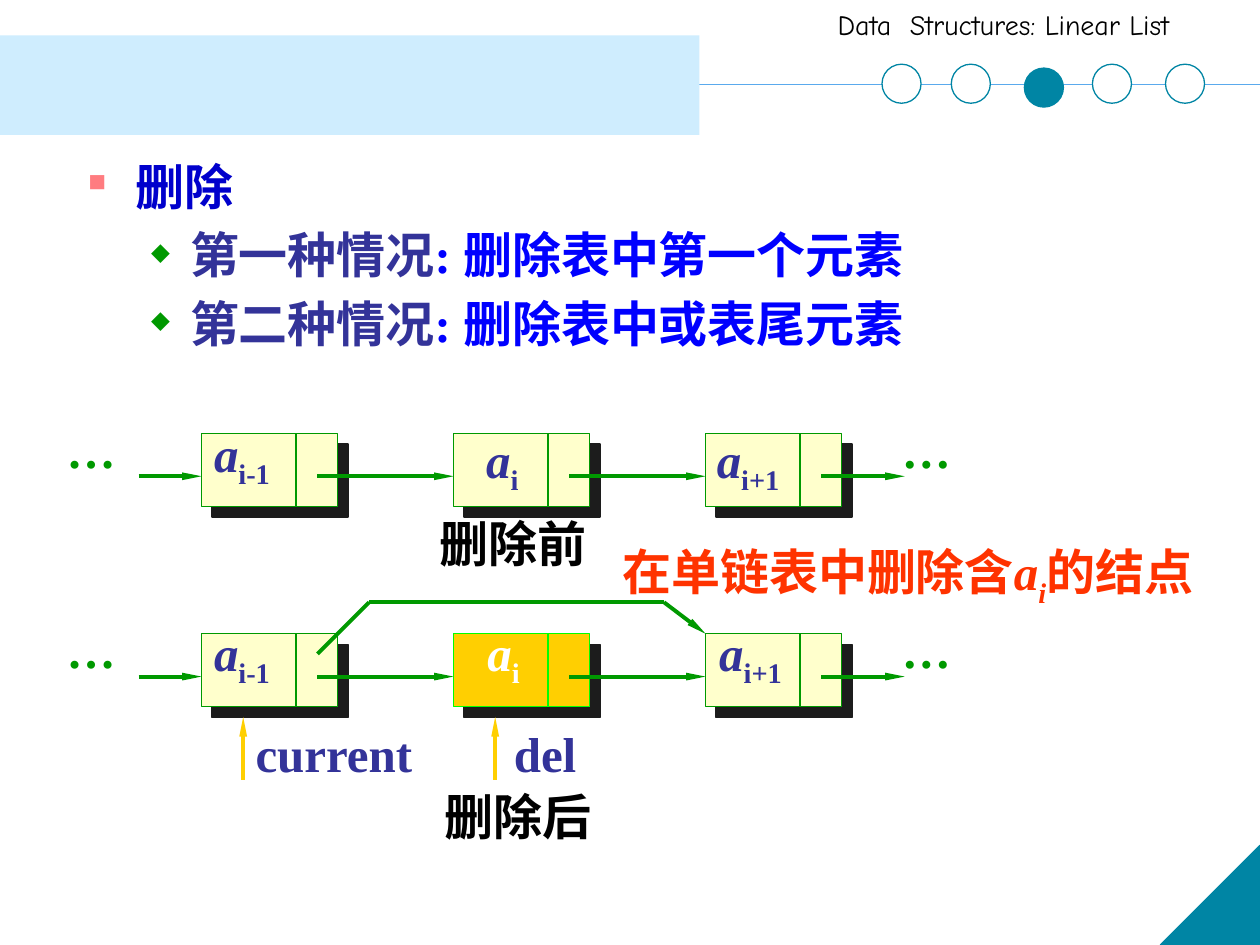
"""Build a slide on deleting a node from a singly linked list."""
from lxml.etree import SubElement
from pptx import Presentation
from pptx.dml.color import RGBColor as RGB
from pptx.enum.shapes import MSO_CONNECTOR as CONN, MSO_SHAPE as SHAPE
from pptx.oxml import parse_xml
from pptx.oxml.ns import nsdecls, qn
from pptx.util import Inches as In, Pt

C = {"teal": "0085A4", "rule": "5AAAED", "banner": "CFEDFE", "white": "FFFFFF",
     "black": "000000", "topic": "0000CC", "navy": "333399", "blue": "0000FF",
     "red": "FF3300", "green": "009900", "lime": "00FF00", "cream": "FFFFCC",
     "gold": "FFCF01", "pink": "FF7C80", "shade": "1C1C1C"}
WIDTH, HEIGHT = 10, 7.5
NODE_X, COL, NODE_W, NODE_H = 1.6, 2, 1.08, 0.58
ROWS = (3.44, 5.03)

deck = Presentation()
deck.slide_width, deck.slide_height = In(WIDTH), In(HEIGHT)
slide = deck.slides.add_slide(deck.slide_layouts[6])
shapes = slide.shapes


def put_text(x, y, w, h, lines, size=28, face="Times New Roman", wrap=False):
    frame = shapes.add_textbox(In(x), In(y), In(w), In(h)).text_frame
    frame.word_wrap = wrap
    for n, line in enumerate(lines):
        paragraph = frame.add_paragraph() if n else frame.paragraphs[0]
        for words, color, style in line:
            run = paragraph.add_run()
            run.text = words
            run.font.size, run.font.name = Pt(size), face
            run.font.bold = size == 28
            run.font.italic = "i" in style
            run.font.color.rgb = RGB.from_string(C[color])
            if "sub" in style:
                run.font._element.set("baseline", "-25000")
    return frame


def link(x1, y1, x2, y2, color="green", weight=2.25, arrow=False):
    line = shapes.add_connector(CONN.STRAIGHT, In(x1), In(y1), In(x2), In(y2))
    line.line.color.rgb, line.line.width = RGB.from_string(C[color]), Pt(weight)
    if arrow:
        SubElement(line.line._get_or_add_ln(), qn("a:tailEnd"), type="triangle", w="sm", len="lg")
    SubElement(line._element.spPr, qn("a:effectLst"))


link(0, 0.67, WIDTH, 0.67, "rule", 1)
put_text(6.55, 0.01, 3.45, 0.37, [[("Data  Structures: Linear List", "black", "")]],
         16, "Comic Neue", True)

decor = [(SHAPE.RIGHT_TRIANGLE, WIDTH - 0.79, HEIGHT - 0.79, 0.79, "teal", "teal"),
         (SHAPE.RECTANGLE, 0, 0.28, 5.55, "banner", None)]
decor += [(SHAPE.OVAL, x, 0.51, 0.31, "white", "teal") for x in (7, 7.55, 8.67, 9.25)]
decor += [(SHAPE.OVAL, 8.13, 0.54, 0.31, "teal", "teal")]
for kind, x, y, w, fill, edge in decor:
    part = shapes.add_shape(kind, In(x), In(y), In(w), In(min(w, 0.79)))
    part.shadow.inherit = False
    part.fill.solid()
    part.fill.fore_color.rgb = RGB.from_string(C[fill])
    if edge:
        part.line.color.rgb, part.line.width = RGB.from_string(C[edge]), Pt(0.75)
    else:
        part.line.fill.background()
    if kind == SHAPE.RIGHT_TRIANGLE:
        part._element.spPr.xfrm.set("flipH", "1")

cases = put_text(0.6, 1.19, 8.92, 2.08, [
    [("删除", "topic", "")],
    [("第一种情况", "navy", ""), (": 删除表中第一个元素", "blue", "")],
    [("第二种情况", "navy", ""), (": 删除表中或表尾元素", "blue", "")]], wrap=True)
for n, case in enumerate(cases.paragraphs):
    margin, hang, mark, color = (0.81, 0.31, "◆", "green") if n else (0.38, 0.38, "■", "pink")
    case.level = min(n, 1)
    props = case._p.get_or_add_pPr()
    props.set("marL", str(In(margin)))
    props.set("indent", str(-In(hang)))
    SubElement(SubElement(props, qn("a:buClr")), qn("a:srgbClr"), val=C[color])
    SubElement(props, qn("a:buSzPct"), val="50000")
    SubElement(props, qn("a:buChar"), char=mark)
    if n:
        case.space_before = Pt(5.6)

goal = put_text(4.82, 4.24, 6.33, 0.6, [[
    ("在单链表中删除含", "red", ""), ("a", "red", "i"), ("i", "red", "i sub"),
    ("的结点", "red", "")]], wrap=True)
goal.margin_left = goal.margin_right = In(0.12)
goal.margin_top = goal.margin_bottom = In(0.06)

for row, top in enumerate(ROWS):
    wire = top + 0.34
    link(1.1, wire, NODE_X, wire, arrow=True)
    for col in range(3):
        left = NODE_X + col * COL
        deleted = row == 1 and col == 1
        edge = "lime" if deleted else "green"
        node = shapes.add_shape(SHAPE.RECTANGLE, In(left), In(top), In(NODE_W), In(NODE_H))
        node.fill.solid()
        node.fill.fore_color.rgb = RGB.from_string(C["gold" if deleted else "cream"])
        node.line.color.rgb, node.line.width = RGB.from_string(C[edge]), Pt(0.75)
        node._element.spPr.append(parse_xml(
            f'<a:effectLst {nsdecls("a")}><a:outerShdw blurRad="0" dist="{Pt(8.5)}" '
            f'dir="2700000" algn="ctr" rotWithShape="0"><a:srgbClr val="{C["shade"]}"/>'
            '</a:outerShdw></a:effectLst>'))
        link(left + 0.75, top, left + 0.75, top + NODE_H, edge, 1.5)
        link(left + 0.92, wire, left + (COL if col < 2 else 1.58), wire, arrow=True)
    for x in (0.43, 7.06):
        put_text(x, top - 0.16, 0.6, 0.57, [[("…", "green", "")]])

for x, y, w, index, color in [
        (1.6, 3.31, 0.69, "i-1", "navy"), (3.76, 3.36, 0.47, "i", "navy"),
        (5.59, 3.36, 0.75, "i+1", "navy"), (1.6, 4.89, 0.69, "i-1", "navy"),
        (3.77, 4.89, 0.47, "i", "white"), (5.61, 4.89, 0.75, "i+1", "navy")]:
    put_text(x, y, w, 0.57, [[("a", color, "i"), (index, color, "sub")]])

for x in (1.93, 1.93 + COL):
    link(x, 6.19, x, 5.69, "gold", arrow=True)
link(2.52, 5.19, 2.93, 4.78)
link(2.93, 4.78, 5.27, 4.78)
link(5.27, 4.78, NODE_X + 2 * COL, ROWS[1], arrow=True)

for x, y, w, caption, color in [
        (1.93, 5.69, 1.46, "current", "navy"), (3.98, 5.69, 0.7, "del", "navy"),
        (3.39, 4.03, 1.39, "删除前", "black"), (3.43, 6.19, 1.39, "删除后", "black")]:
    put_text(x, y, w, 0.57, [[(caption, color, "")]])

deck.save("out.pptx")
